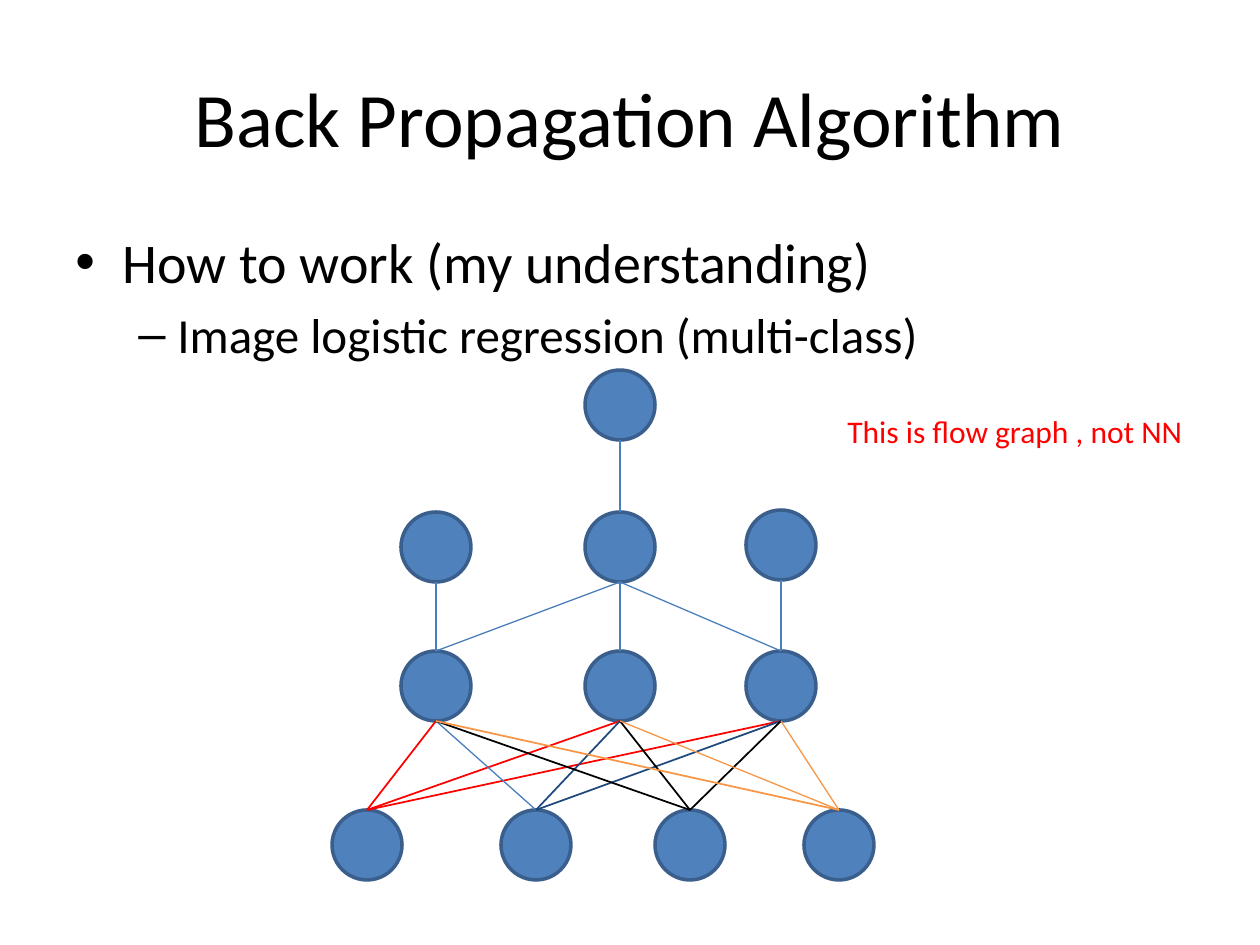
from pptx import Presentation
from pptx.dml.color import RGBColor
from pptx.enum.shapes import MSO_CONNECTOR as CONN, MSO_SHAPE as SHAPE
from pptx.enum.text import MSO_ANCHOR as ANCHOR, PP_ALIGN as ALIGN
from pptx.oxml.ns import qn
from pptx.util import Pt
from lxml.etree import SubElement

PX = 914400 // 126
DIAMETER = 70
BLUE, RED, NAVY, BLACK, ORANGE = "4B7EBC", "FF0000", "1F497D", "000000", "F79646"
FILL, OUTLINE = "4F81BD", "3A5F8C"

TITLE = [dict(text="Back Propagation Algorithm", size=44, align=ALIGN.CENTER)]
BODY = [
    dict(text="How to work (my understanding)", size=32, bullet="•", indent=(47, -47)),
    dict(text="Image logistic regression (multi-class)", size=28, bullet="–",
         indent=(102, -39), before=5.6),
]
NOTE = [dict(text="This is flow graph , not NN", size=18, color=RED)]
TEXTS = [
    ((63, 38, 1134, 157), TITLE, dict(word_wrap=True, vertical_anchor=ANCHOR.MIDDLE)),
    ((63, 221, 1134, 624), BODY, dict(word_wrap=True)),
    ((835, 406, 427, 50), NOTE, dict(word_wrap=False)),
]

LAYERS = {
    "input": [(367, 810), (536, 810), (690, 810), (839, 810)],
    "sum": [(436, 651), (620, 651), (781, 651)],
    "activation": [(436, 512), (620, 512), (781, 510)],
    "output": [(620, 370)],
}
INPUT_COLORS = [
    [(RED, 1), (RED, 1), (RED, 1)],
    [(BLUE, 0.75), (NAVY, 1), (NAVY, 1)],
    [(BLACK, 1), (BLACK, 1), (BLACK, 1)],
    [(ORANGE, 1), (ORANGE, 0.75), (ORANGE, 0.75)],
]
UPPER_EDGES = [
    ("sum", 0, "activation", 0), ("sum", 1, "activation", 1), ("sum", 2, "activation", 2),
    ("sum", 0, "activation", 1), ("sum", 2, "activation", 1), ("activation", 1, "output", 0),
]


def rgb(value):
    return RGBColor.from_string(value)


def emu(*lengths):
    return [n * PX for n in lengths]


def add_text(s, box, paragraphs, frame):
    tf = s.shapes.add_textbox(*emu(*box)).text_frame
    for name, value in frame.items():
        setattr(tf, name, value)
    for i, item in enumerate(paragraphs):
        p = tf.add_paragraph() if i else tf.paragraphs[0]
        if "bullet" in item:
            pPr = p._p.get_or_add_pPr()
            for name, value in zip(("marL", "indent"), emu(*item["indent"])):
                pPr.set(name, str(value))
            SubElement(pPr, qn("a:buFont"), typeface="Arial")
            SubElement(pPr, qn("a:buChar"), char=item["bullet"])
        p.alignment = item.get("align", ALIGN.LEFT)
        if "before" in item:
            p.space_before = Pt(item["before"])
        r = p.add_run()
        r.text = item["text"]
        for name, value in dict(name="Calibri", size=Pt(item["size"])).items():
            setattr(r.font, name, value)
        r.font.color.rgb = rgb(item.get("color", BLACK))


def add_node(s, center, top):
    sp = s.shapes.add_shape(
        SHAPE.OVAL, *emu(center - DIAMETER // 2, top, DIAMETER, DIAMETER))
    sp.shadow.inherit = False
    sp.fill.solid()
    sp.fill.fore_color.rgb = rgb(FILL)
    sp.line.color.rgb = rgb(OUTLINE)
    sp.line.width = Pt(2)


def add_edge(s, lower, upper, color, width):
    line = s.shapes.add_connector(
        CONN.STRAIGHT, *emu(*lower, upper[0], upper[1] + DIAMETER))
    line.line.color.rgb = rgb(color)
    line.line.width = Pt(width)
    SubElement(line._element.spPr, qn("a:effectLst"))


def main():
    prs = Presentation()
    prs.slide_width, prs.slide_height = emu(1260, 945)
    s = prs.slides.add_slide(prs.slide_layouts[6])
    for box, paragraphs, frame in TEXTS:
        add_text(s, box, paragraphs, frame)
    for layer in LAYERS.values():
        for node in layer:
            add_node(s, *node)
    for lower, styles in zip(LAYERS["input"], INPUT_COLORS):
        for upper, style in zip(LAYERS["sum"], styles):
            add_edge(s, lower, upper, *style)
    for low, i, high, j in UPPER_EDGES:
        add_edge(s, LAYERS[low][i], LAYERS[high][j], BLUE, 0.75)
    prs.save("out.pptx")


if __name__ == "__main__":
    main()
